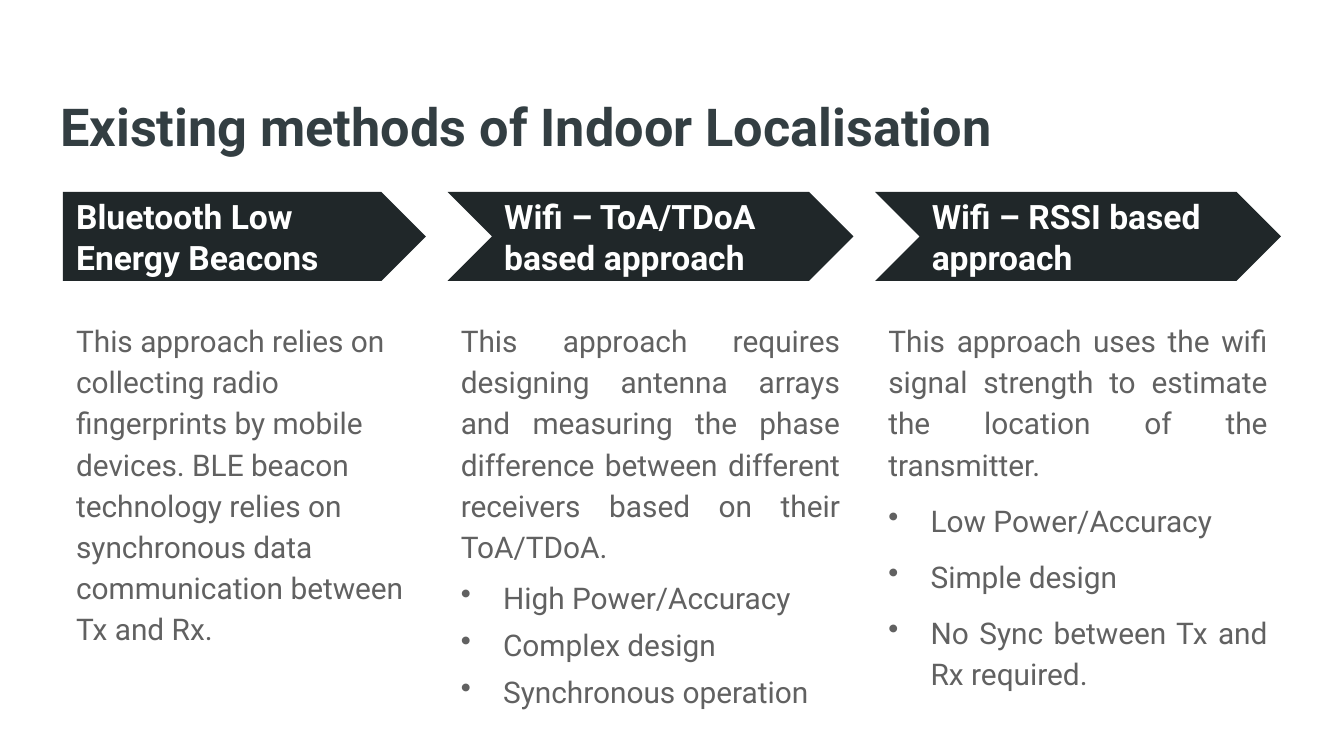
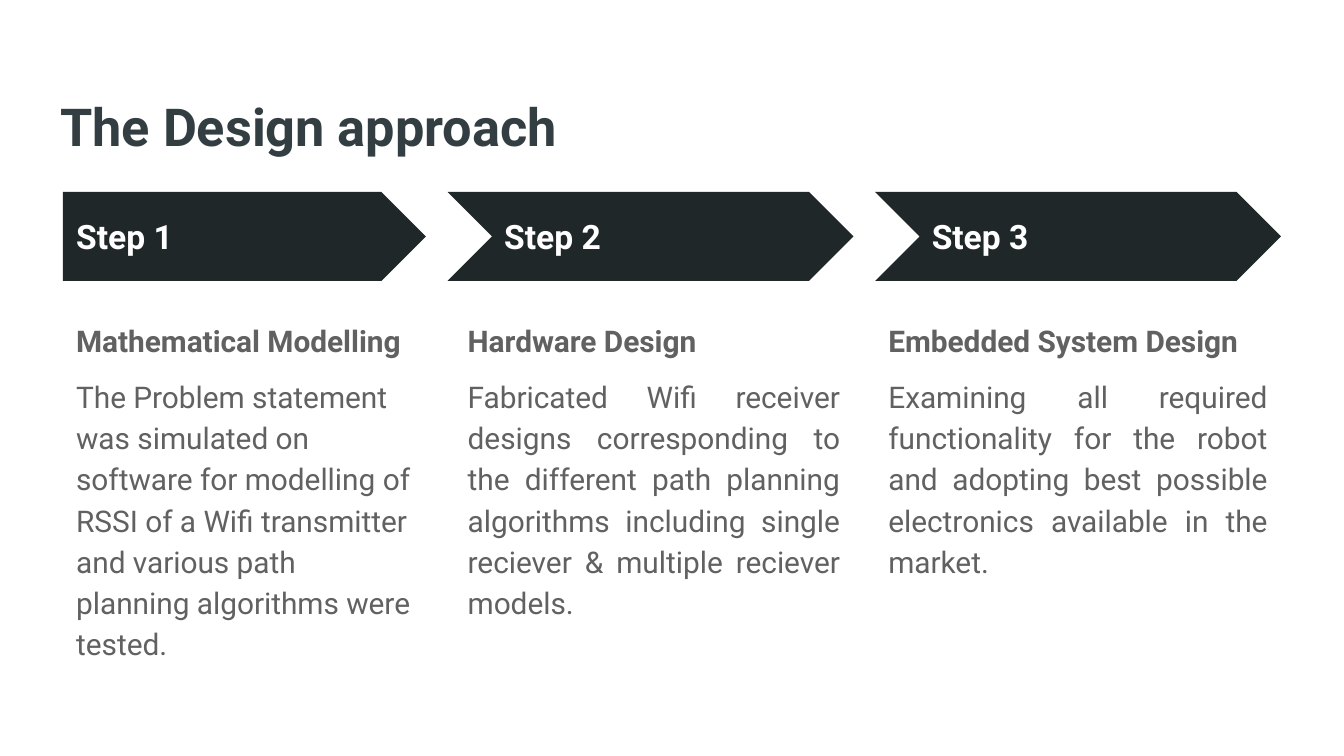
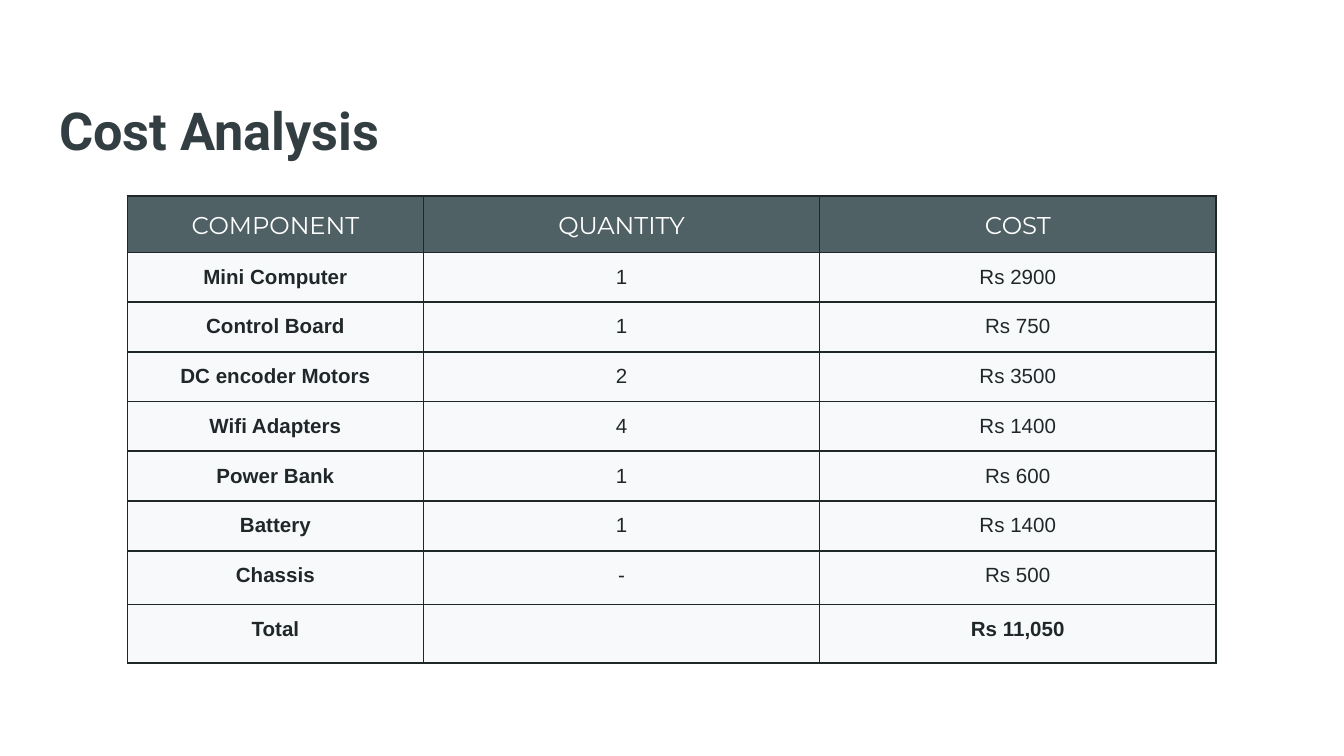
from lxml.etree import SubElement as Sub
from pptx import Presentation
from pptx.dml.color import RGBColor as RGB
from pptx.enum.shapes import MSO_SHAPE as Shape
from pptx.enum.text import MSO_ANCHOR as Anchor, PP_ALIGN as Align
from pptx.oxml.ns import qn
from pptx.util import Cm, Pt

WHITE = RGB(0xFF, 0xFF, 0xFF)
SLATE = RGB(0x33, 0x3E, 0x42)
DARK = RGB(0x20, 0x27, 0x29)
GREY = RGB(0x61, 0x61, 0x61)
TEAL = RGB(0x50, 0x61, 0x66)
PALE = RGB(0xC2, 0xCC, 0xCF)

INSET = Cm(0.25)
LEFT, GAP = 1.19, 0.41
WIDTHS = (6.86, 7.67, 7.67)
SHIFT = 0.82

METHODS = (
    ("Bluetooth Low Energy Beacons", 0, [
        ("text", "This approach relies on collecting radio fingerprints by mobile devices. "
                 "BLE beacon technology relies on synchronous data communication between Tx and Rx.")]),
    ("Wifi – ToA/TDoA based approach", 0, [
        ("text", "This approach requires designing antenna arrays and measuring the phase "
                 "difference between different receivers based on their ToA/TDoA."),
        ("tight", "High Power/Accuracy"),
        ("tight", "Complex design"),
        ("tight", "Synchronous operation")]),
    ("Wifi – RSSI based approach", 0, [
        ("text", "This approach uses the wifi signal strength to estimate the location of the transmitter."),
        ("loose", "Low Power/Accuracy"),
        ("loose", "Simple design"),
        ("loose", "No Sync between Tx and Rx required.")]),
)

STEPS = (
    ("Step 1", 0, [
        ("head", "Mathematical Modelling"),
        ("text", "The Problem statement was simulated on software for modelling of RSSI of a Wifi "
                 "transmitter and various path planning algorithms were tested.")]),
    ("Step 2", 0.13, [
        ("head", "Hardware Design"),
        ("text", "Fabricated Wifi receiver designs corresponding to the different path planning "
                 "algorithms including single reciever & multiple reciever models.")]),
    ("Step 3", 0, [
        ("head", "Embedded System Design"),
        ("text", "Examining all required functionality for the robot and adopting best possible "
                 "electronics available in the market.")]),
)

COSTS = (
    ("COMPONENT", "QUANTITY", "COST"),
    ("Mini Computer", "1", "Rs 2900"),
    ("Control Board", "1", "Rs 750"),
    ("DC encoder Motors", "2", "Rs 3500"),
    ("Wifi Adapters", "4", "Rs 1400"),
    ("Power Bank", "1", "Rs 600"),
    ("Battery", "1", "Rs 1400"),
    ("Chassis", "-", "Rs 500"),
    ("Total", "", "Rs 11,050"),
)
COLS = (5.59, 7.49, 7.49)
ROWS = (1.06,) + (0.94,) * 6 + (1.02, 1.1)


def add_run(para, text, size, color, bold=False, face="Roboto"):
    run = para.add_run()
    run.text = text
    font = run.font
    font.name, font.size, font.bold = face, Pt(size), bold
    font.color.rgb = color


def add_box(slide, left, top, width, height, anchor=Anchor.TOP):
    box = slide.shapes.add_textbox(Cm(left), Cm(top), Cm(width), Cm(height))
    frame = box.text_frame
    frame.word_wrap = True
    frame.vertical_anchor = anchor
    frame.margin_left = frame.margin_right = INSET
    frame.margin_top = frame.margin_bottom = INSET
    return frame


def add_title(slide, text, left=0.89, top=1.53):
    frame = add_box(slide, left, top, 23.67, 1.6)
    add_run(frame.paragraphs[0], text, 28, SLATE, True)


def add_arrow(slide, kind, left, width, text, shift):
    arrow = slide.shapes.add_shape(kind, Cm(left), Cm(3.63), Cm(width), Cm(1.68))
    arrow.adjustments[0] = 0.5
    arrow.shadow.inherit = False
    arrow.fill.solid()
    arrow.fill.fore_color.rgb = DARK
    arrow.line.fill.background()
    frame = add_box(slide, left + shift, 4.04, 6.27, 0.86, Anchor.MIDDLE)
    add_run(frame.paragraphs[0], text, 18, WHITE, True)


def add_dot(para):
    props = para._p.get_or_add_pPr()
    props.set("marL", str(Cm(0.8)))
    props.set("indent", str(-Cm(0.8)))
    tint = Sub(props, qn("a:buClr"))
    Sub(tint, qn("a:srgbClr"), val=str(GREY))
    Sub(props, qn("a:buChar"), char="•")


def add_body(slide, left, width, items, align):
    frame = add_box(slide, left, 5.75, width, 7.37)
    for i, (kind, text) in enumerate(items):
        para = frame.add_paragraph() if i else frame.paragraphs[0]
        if kind in ("tight", "loose"):
            add_dot(para)
        para.alignment = Align.JUSTIFY if kind == "head" else align
        para.space_after = Pt(6 if kind == "tight" else 8)
        if kind != "tight":
            para.line_spacing = 1.15
        add_run(para, text, 16, GREY, kind == "head")


def add_flow(slide, parts):
    left = LEFT
    for i, (width, (label, nudge, items)) in enumerate(zip(WIDTHS, parts)):
        kind = Shape.CHEVRON if i else Shape.PENTAGON
        add_arrow(slide, kind, left, width, label, SHIFT if i else 0)
        align = Align.JUSTIFY if i else Align.LEFT
        add_body(slide, left + nudge, width - nudge, items, align)
        left += width + GAP


def style_cell(cell, color, alpha):
    props = cell._tc.get_or_add_tcPr()
    for side in ("lnL", "lnR", "lnT", "lnB"):
        line = Sub(props, qn("a:" + side), w=str(Pt(1)))
        paint = Sub(line, qn("a:solidFill"))
        Sub(paint, qn("a:srgbClr"), val=str(DARK))
    cell.fill.solid()
    cell.fill.fore_color.rgb = color
    if alpha < 100:
        tint = props.find(qn("a:solidFill")).find(qn("a:srgbClr"))
        Sub(tint, qn("a:alpha"), val=str(alpha * 1000))
    cell.margin_left = cell.margin_right = INSET
    cell.margin_top, cell.margin_bottom = INSET, Cm(0.2)


def add_costs(slide):
    table = slide.shapes.add_table(len(ROWS), len(COLS), Cm(2.41), Cm(3.71),
                                   Cm(sum(COLS)), Cm(sum(ROWS))).table
    table.first_row = table.horz_banding = False
    for col, width in zip(table.columns, COLS):
        col.width = Cm(width)
    for r, (height, texts) in enumerate(zip(ROWS, COSTS)):
        table.rows[r].height = Cm(height)
        for c, text in enumerate(texts):
            cell = table.cell(r, c)
            para = cell.text_frame.paragraphs[0]
            para.alignment = Align.CENTER
            if r == 0:
                style_cell(cell, TEAL, 100)
                cell.vertical_anchor = Anchor.MIDDLE
                add_run(para, text, 13, WHITE, face="Montserrat")
                continue
            style_cell(cell, PALE, 10)
            if text:
                bold = c == 0 or r == len(ROWS) - 1
                add_run(para, text, 11, DARK, bold, "Arial")
            else:
                Sub(para._p, qn("a:endParaRPr"), sz="1100")


def main():
    deck = Presentation()
    deck.slide_width, deck.slide_height = Cm(25.4), Cm(14.29)
    blank = deck.slide_layouts[6]

    for title, parts in (("Existing methods of Indoor Localisation", METHODS),
                         ("The Design approach", STEPS)):
        slide = deck.slides.add_slide(blank)
        add_title(slide, title)
        add_flow(slide, parts)

    slide = deck.slides.add_slide(blank)
    add_title(slide, "Cost Analysis", 0.87, 1.6)
    add_costs(slide)
    deck.save("out.pptx")


if __name__ == "__main__":
    main()
